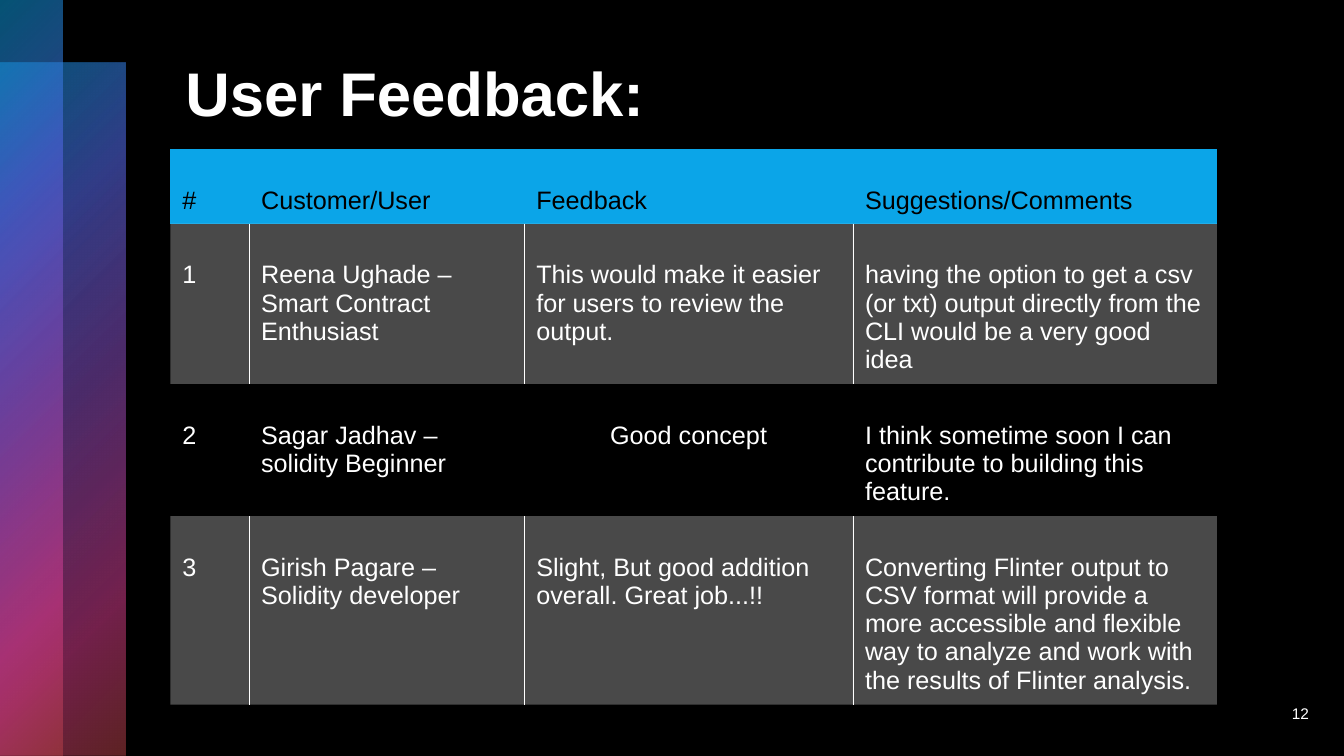
import pptx
import pptx.dml.color
import pptx.enum.shapes
import pptx.enum.text
import pptx.oxml
import pptx.oxml.ns
import pptx.util

Inches = pptx.util.Inches
ALIGN = pptx.enum.text.PP_ALIGN
ANCHOR = pptx.enum.text.MSO_ANCHOR
COLORS = {"black": "000000", "white": "FFFFFF", "header": "0BA5E8", "band": "F2F2F2"}
NAMESPACE = pptx.oxml.ns.nsdecls("a")


def write_text(text_frame, text, size, color, bold=False, align=ALIGN.LEFT):
    paragraph = text_frame.paragraphs[0]
    paragraph.alignment = align
    run = paragraph.add_run()
    run.text = text
    font_format = {"name": "Arial", "size": pptx.util.Pt(size), "bold": bold}
    for attribute, value in font_format.items():
        setattr(run.font, attribute, value)
    run.font.color.rgb = pptx.dml.color.RGBColor.from_string(COLORS[color])


presentation = pptx.Presentation()
presentation.slide_width = Inches(13.33)
presentation.slide_height = Inches(7.5)
slide = presentation.slides.add_slide(presentation.slide_layouts[6])
slide.background.fill.solid()
slide.background.fill.fore_color.rgb = pptx.dml.color.RGBColor.from_string(COLORS["black"])

# Two overlapping translucent gradient bands: position %, colour, opacity %
gradient_stops = [(0, "0BA5E8", 50), (25, "5066E1", 60), (50, "894EC0", 55),
                  (81, "E54196", 50), (99, "BE4449", 50)]
stops_xml = "".join(
    f'<a:gs pos="{position * 1000}"><a:srgbClr val="{color}">'
    f'<a:alpha val="{opacity * 1000}"/></a:srgbClr></a:gs>'
    for position, color, opacity in gradient_stops)
gradient_xml = (f'<a:gradFill {NAMESPACE} rotWithShape="1"><a:gsLst>{stops_xml}</a:gsLst>'
                '<a:path path="circle"><a:fillToRect r="100000" b="100000"/></a:path></a:gradFill>')
for top, width in [(0.62, 1.24), (0, 0.62)]:
    band = slide.shapes.add_shape(pptx.enum.shapes.MSO_SHAPE.RECTANGLE,
                                  0, Inches(top), Inches(width), Inches(7.5 - top))
    band.shadow.inherit = False
    band.line.fill.background()
    band.fill.background()
    properties = band.element.spPr
    properties.replace(properties.find(pptx.oxml.ns.qn("a:noFill")),
                       pptx.oxml.parse_xml(gradient_xml))

title = slide.shapes.add_textbox(Inches(1.74), Inches(0.5), Inches(10.37), Inches(0.8))
title.text_frame.word_wrap = True
write_text(title.text_frame, "User Feedback:", 44, "white", bold=True)

slide_number = slide.shapes.add_textbox(Inches(12.19), Inches(6.88), Inches(0.89), Inches(0.4))
slide_number.text_frame.word_wrap = True
slide_number.text_frame.vertical_anchor = ANCHOR.MIDDLE
write_text(slide_number.text_frame, "12", 11, "white", align=ALIGN.RIGHT)

feedback_rows = [
    ["#", "Customer/User", "Feedback", "Suggestions/Comments"],
    ["1", "Reena Ughade – Smart Contract Enthusiast",
     "This would make it easier for users to review the output.",
     "having the option to get a csv (or txt) output directly from the CLI "
     "would be a very good idea"],
    ["2", "Sagar Jadhav – solidity Beginner", "Good concept",
     "I think sometime soon I can contribute to building this feature."],
    ["3", "Girish Pagare – Solidity developer",
     "Slight, But good addition overall. Great job...!!",
     "Converting Flinter output to CSV format will provide a more accessible and flexible "
     "way to analyze and work with the results of Flinter analysis."],
]
column_widths = [0.78, 2.73, 3.26, 3.61]
row_heights = [0.74, 1.59, 1.31, 1.87]
row_fills = ["header", "band", "black", "band"]
cell_format = {"margin_left": Inches(0.12), "margin_right": Inches(0.12),
               "margin_top": Inches(0.37), "margin_bottom": 0,
               "vertical_anchor": ANCHOR.TOP}

table_frame = slide.shapes.add_table(len(row_heights), len(column_widths), Inches(1.69),
                                     Inches(1.48), Inches(sum(column_widths)),
                                     Inches(sum(row_heights)))
table = table_frame.table
table.first_row = False
table.horz_banding = False
style_id = table_frame.element.find(".//" + pptx.oxml.ns.qn("a:tableStyleId"))
style_id.text = "{2D5ABB26-0587-4C30-8999-92F81FD0307C}"  # no style, no grid
for column, width in zip(table.columns, column_widths):
    column.width = Inches(width)

for row_index, texts in enumerate(feedback_rows):
    table.rows[row_index].height = Inches(row_heights[row_index])
    fill_name = row_fills[row_index]
    for column_index, text in enumerate(texts):
        cell = table.cell(row_index, column_index)
        for attribute, value in cell_format.items():
            setattr(cell, attribute, value)
        write_text(cell.text_frame, text, 18, "black" if row_index == 0 else "white",
                   align=ALIGN.CENTER if text == "Good concept" else ALIGN.LEFT)
        cell.fill.solid()
        cell.fill.fore_color.rgb = pptx.dml.color.RGBColor.from_string(COLORS[fill_name])
        if fill_name != "band":
            continue
        cell_properties = cell._tc.tcPr
        color_element = cell_properties.find(".//" + pptx.oxml.ns.qn("a:srgbClr"))
        color_element.append(pptx.oxml.parse_xml(f'<a:alpha {NAMESPACE} val="30000"/>'))
        sides = ["lnL"] * (column_index > 0) + ["lnR"] * (column_index < len(texts) - 1)
        for position, side in enumerate(sides):
            cell_properties.insert(position, pptx.oxml.parse_xml(
                f'<a:{side} {NAMESPACE} w="6350"><a:solidFill>'
                f'<a:srgbClr val="{COLORS["white"]}"/></a:solidFill></a:{side}>'))

presentation.save("out.pptx")
